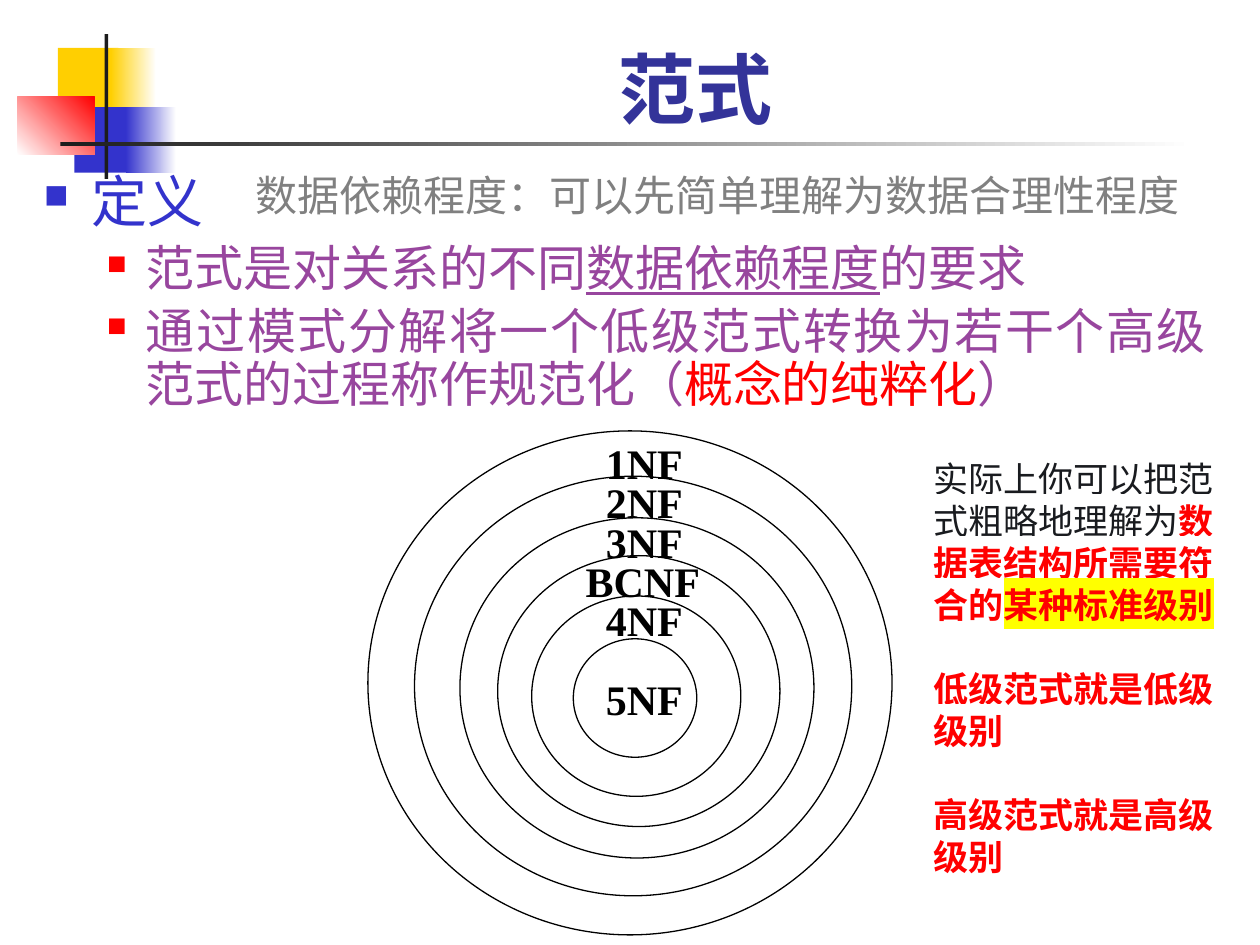
"""Build the slide that defines normal forms and shows how they nest."""
from lxml import etree
from pptx import Presentation
from pptx import util as u
from pptx.dml.color import RGBColor
from pptx.enum import shapes, text
from pptx.oxml import ns

COLORS = {
    "yellow": "FFCF01", "blue": "3333CC", "red": "FF0000", "white": "FFFFFF",
    "ink": "1C1C1C", "title": "333399", "purple": "98469E", "black": "000000",
    "gray": "808080", "body": "191B1F", "marker": "FFFF00",
}


def add_text_box(parent, left, top, width, height):
    box = parent.add_textbox(*map(u.Inches, (left, top, width, height)))
    box.text_frame.word_wrap = True
    return box.text_frame


def add_runs(paragraph, runs):
    for words, color, bold, underline, highlight in runs:
        run = paragraph.add_run()
        run.text = words
        run.font.color.rgb = RGBColor.from_string(COLORS[color])
        if bold:
            run.font.bold = True
        if underline:
            run.font.underline = True
        if highlight:
            marker = etree.SubElement(run.font._element, ns.qn("a:highlight"))
            etree.SubElement(marker, ns.qn("a:srgbClr"), val=COLORS[highlight])


presentation = Presentation()
presentation.slide_width = u.Inches(10)
presentation.slide_height = u.Inches(7.5)
slide = presentation.slides.add_slide(presentation.slide_layouts[5])

decorations = [
    (0.46, 0.38, 0.48, 0.52, ["yellow"], 0),
    (0.88, 0.38, 0.36, 0.52, ["yellow", "white"], 0),
    (0.59, 0.85, 0.46, 0.52, ["blue"], 0),
    (1, 0.85, 0.4, 0.52, ["blue", "white"], 0),
    (0.14, 0.77, 0.61, 0.46, ["white", "red"], 45),
    (0.83, 0.27, 0.03, 1.15, ["ink"], 0),
    (0.48, 1.13, 9, 0.03, ["ink", "white"], 0),
]
for *bounds, fills, angle in decorations:
    shape = slide.shapes.add_shape(shapes.MSO_SHAPE.RECTANGLE, *map(u.Inches, bounds))
    shape.shadow.inherit = False
    shape.line.fill.background()
    if len(fills) == 1:
        shape.fill.solid()
        shape.fill.fore_color.rgb = RGBColor.from_string(COLORS[fills[0]])
    else:
        shape.fill.gradient()
        shape.fill.gradient_angle = angle
        for stop, color in zip(shape.fill.gradient_stops, fills):
            stop.color.rgb = RGBColor.from_string(COLORS[color])

title = slide.shapes.title
title.left, title.top, title.width, title.height = map(u.Inches, (1.26, 0.17, 8.52, 0.94))
title.text_frame.text = "范式"
title.text_frame.vertical_anchor = text.MSO_ANCHOR.BOTTOM
paragraph = title.text_frame.paragraphs[0]
paragraph.alignment = text.PP_ALIGN.CENTER
paragraph.font.name = "Lato"
paragraph.font.size = u.Pt(44)
paragraph.font.bold = True
paragraph.font.color.rgb = RGBColor.from_string(COLORS["title"])

definitions = [
    (0, 32, 0.38, 0.38, "blue", 60, [("定义", "blue", False, False, None)]),
    (1, 28, 0.81, 0.31, "red", 55, [
        ("范式是对关系的不同", "purple", False, False, None),
        ("数据依赖程度", "purple", False, True, None),
        ("的要求", "purple", False, False, None),
    ]),
    (1, 28, 0.81, 0.31, "red", 55, [
        ("通过模式分解将一个低级范式转换为若干个高级范式的过程称作规范化（", "purple", False, False, None),
        ("概念的纯粹化", "red", False, False, None),
        ("）", "purple", False, False, None),
    ]),
]
frame = add_text_box(slide.shapes, 0.25, 1.33, 9.42, 2.17)
for index, (level, size, margin, hanging, bullet_color, bullet_size, runs) in enumerate(definitions):
    paragraph = frame.add_paragraph() if index else frame.paragraphs[0]
    paragraph.level = level
    paragraph.alignment = text.PP_ALIGN.JUSTIFY
    paragraph.line_spacing = 0.9
    if index:
        paragraph.space_before = u.Pt(size * 0.2)
    properties = paragraph._p.get_or_add_pPr()
    properties.set("marL", str(u.Inches(margin)))
    properties.set("indent", str(-u.Inches(hanging)))
    bullet_fill = etree.SubElement(properties, ns.qn("a:buClr"))
    etree.SubElement(bullet_fill, ns.qn("a:srgbClr"), val=COLORS[bullet_color])
    etree.SubElement(properties, ns.qn("a:buSzPct"), val=str(bullet_size * 1000))
    etree.SubElement(properties, ns.qn("a:buFont"), typeface="Wingdings")
    etree.SubElement(properties, ns.qn("a:buChar"), char="n")
    paragraph.font.name = "Lato"
    paragraph.font.size = u.Pt(size)
    add_runs(paragraph, runs)

diagram = slide.shapes.add_group_shape()
rings = [
    (4.55, 5.07, 0.98, 0.94),
    (4.22, 4.73, 1.66, 1.59),
    (3.95, 4.41, 2.24, 2.15),
    (3.65, 4.11, 2.81, 2.7),
    (3.29, 3.78, 3.47, 3.33),
    (2.92, 3.42, 4.16, 4),
]
for bounds in rings:
    ring = diagram.shapes.add_shape(shapes.MSO_SHAPE.OVAL, *map(u.Inches, bounds))
    ring.shadow.inherit = False
    ring.fill.background()
    ring.line.color.rgb = RGBColor.from_string(COLORS["black"])
    ring.line.width = u.Pt(0.75)

labels = [("1NF", 0), ("2NF", 1), ("3NF", 2), ("BCNF", 3), ("4NF", 4), ("5NF", 6)]
for label, row in labels:
    left, width = (4.55, 1.23) if label == "BCNF" else (4.71, 0.9)
    frame = add_text_box(diagram.shapes, left, 3.42 + row * 1.88 / 6, width, 0.5)
    paragraph = frame.paragraphs[0]
    paragraph.font.name = "Times New Roman"
    paragraph.font.size = u.Pt(24)
    add_runs(paragraph, [(label, "black", True, False, None)])

hint = add_text_box(slide.shapes, 1.93, 1.3, 7.56, 0.5)
paragraph = hint.paragraphs[0]
paragraph.font.name = "Times New Roman"
paragraph.font.size = u.Pt(24)
add_runs(paragraph, [("数据依赖程度：可以先简单理解为数据合理性程度", "gray", False, False, None)])

explanations = [
    [
        ("实际上你可以把范式粗略地理解为", "body", False, False, "white"),
        ("数据表结构所需要符合的", "red", True, False, "white"),
        ("某种标准级别", "red", True, False, "marker"),
    ],
    [("低级范式就是低级级别", "red", True, False, "white")],
    [("高级范式就是高级级别", "red", True, False, "white")],
]
frame = add_text_box(slide.shapes, 7.31, 3.58, 2.59, 3.47)
for index, runs in enumerate(explanations):
    paragraph = frame.add_paragraph() if index else frame.paragraphs[0]
    if index:
        paragraph.space_before = u.Pt(24)
    paragraph.font.name = "Roboto"
    paragraph.font.size = u.Pt(20)
    add_runs(paragraph, runs)

presentation.save("out.pptx")
